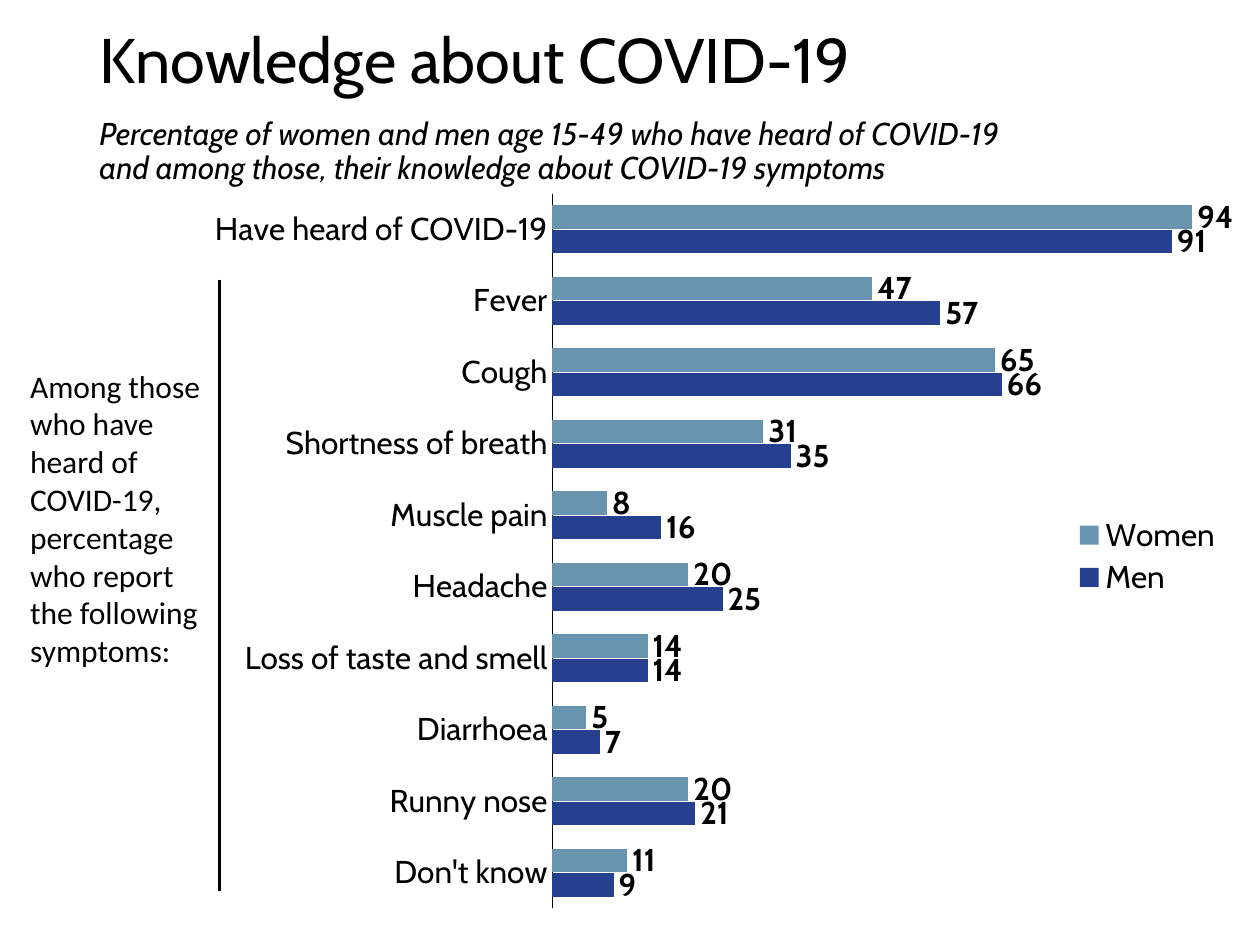
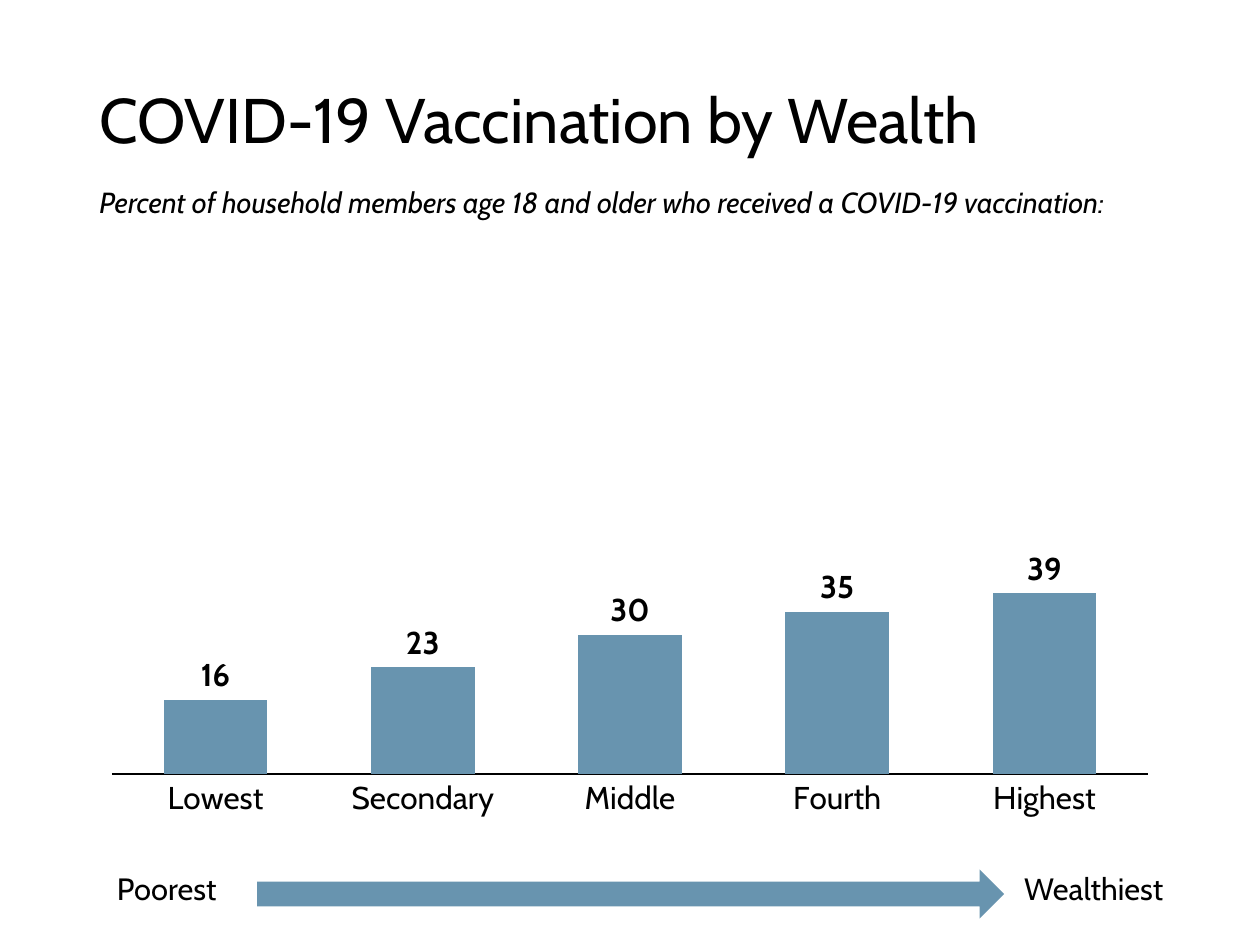
from lxml import etree
from pptx import Presentation
from pptx.chart.data import CategoryChartData
from pptx.dml.color import RGBColor
from pptx.enum.chart import (XL_CHART_TYPE, XL_LABEL_POSITION,
                             XL_LEGEND_POSITION, XL_TICK_LABEL_POSITION,
                             XL_TICK_MARK)
from pptx.enum.shapes import MSO_CONNECTOR, MSO_SHAPE
from pptx.enum.text import MSO_ANCHOR
from pptx.oxml.ns import qn
from pptx.util import Pt

# Scale: 100 px to the inch
PX = 9144
WIDTH, HEIGHT = 1000, 750
LEFT = 69

# Shared style
BLACK = RGBColor(0x00, 0x00, 0x00)
BLUE = RGBColor(0x68, 0x94, 0xAF)
NAVY = RGBColor(0x25, 0x40, 0x8F)
FONT, NOTE_FONT = "Cabin", "Calibri"
BODY = 18

BARS = XL_CHART_TYPE.BAR_CLUSTERED
COLUMNS = XL_CHART_TYPE.COLUMN_CLUSTERED
OUTSIDE = XL_LABEL_POSITION.OUTSIDE_END
RIGHT = XL_LEGEND_POSITION.RIGHT
NO_TICK = XL_TICK_MARK.NONE
NO_LABEL = XL_TICK_LABEL_POSITION.NONE
STRAIGHT = MSO_CONNECTOR.STRAIGHT
ARROW = MSO_SHAPE.RIGHT_ARROW
TOP, MIDDLE = MSO_ANCHOR.TOP, MSO_ANCHOR.MIDDLE

# Symptoms from the bottom bar up: men, women
KNOWN = [
    ("Don't know", 9, 11),
    ("Runny nose", 21, 20),
    ("Diarrhoea", 7, 5),
    ("Loss of taste and smell", 14, 14),
    ("Headache", 25, 20),
    ("Muscle pain", 16, 8),
    ("Shortness of breath", 35, 31),
    ("Cough", 66, 65),
    ("Fever", 57, 47),
    ("Have heard of COVID-19", 91, 94),
]
WEALTH = [("Lowest", 16), ("Secondary", 23), ("Middle", 30),
          ("Fourth", 35), ("Highest", 39)]


def emu(box):
    return [n * PX for n in box]


def style(font, size=BODY, name=FONT, bold=False, italic=False):
    font.size = Pt(size)
    font.name = name
    font.bold = bold
    font.italic = italic
    font.color.rgb = BLACK


def add_text(shapes, box, text, size=BODY, name=FONT, italic=False,
             anchor=TOP, leading=None, before=0):
    frame = shapes.add_textbox(*emu(box)).text_frame
    frame.word_wrap = True
    frame.vertical_anchor = anchor
    frame.text = text
    para = frame.paragraphs[0]
    para.line_spacing = leading
    para.space_before = Pt(before)
    style(para.runs[0].font, size, name, italic=italic)


def add_head(slide, title, title_box, note, note_box, size=BODY):
    add_text(slide.shapes, title_box, title, 36, anchor=MIDDLE, leading=0.9)
    add_text(slide.shapes, note_box, note, size, italic=True,
             leading=0.9, before=10)


def place(parent, index, area, inner=False):
    """Set a manual layout, as shares of the chart, on a chart part."""
    for old in parent.findall(qn("c:layout")):
        parent.remove(old)
    layout = etree.Element(qn("c:layout"))
    manual = etree.SubElement(layout, qn("c:manualLayout"))
    pairs = [("layoutTarget", "inner")] if inner else []
    pairs += [("xMode", "edge"), ("yMode", "edge"), *zip("xywh", area)]
    for tag, value in pairs:
        etree.SubElement(manual, qn("c:" + tag)).set("val", str(value))
    parent.insert(index, layout)


def add_chart(slide, kind, box, rows, series, area, overlap=0):
    """Draw rows of (label, value, ...) with series of (name, colour)."""
    labels, *columns = zip(*rows)
    data = CategoryChartData()
    data.categories = labels
    for (name, _), values in zip(series, columns):
        data.add_series(name, values)
    chart = slide.shapes.add_chart(kind, *emu(box), data).chart
    chart.has_title = False
    chart.has_legend = False
    style(chart.font)

    # Axes
    scale = chart.value_axis
    scale.minimum_scale, scale.maximum_scale = 0, 100
    scale.has_major_gridlines = False
    scale.tick_label_position = NO_LABEL
    scale.visible = False
    axis = chart.category_axis
    axis.major_tick_mark = axis.minor_tick_mark = NO_TICK
    axis.format.line.color.rgb = BLACK
    axis.format.line.width = Pt(0.75)
    style(axis.tick_labels.font)

    # Bars and their values
    plot = chart.plots[0]
    plot.gap_width, plot.overlap = 100, overlap
    plot.vary_by_categories = False
    for item, (_, colour) in zip(plot.series, series):
        item.format.fill.solid()
        item.format.fill.fore_color.rgb = colour
        tags = item.data_labels
        tags.show_value = True
        tags.position = OUTSIDE
        style(tags.font, bold=True)
    place(chart.element.find(".//" + qn("c:plotArea")), 0, area, inner=True)
    return chart


def add_legend(chart, area):
    chart.has_legend = True
    legend = chart.legend
    legend.position = RIGHT
    legend.include_in_layout = False
    style(legend.font)
    place(chart.element.find(".//" + qn("c:legend")), 1, area)


def add_rule(slide, x, top, bottom):
    line = slide.shapes.add_connector(STRAIGHT, *emu((x, top, x, bottom)))
    line.line.color.rgb = BLACK
    line.line.width = Pt(1.5)
    etree.SubElement(line.element.spPr, qn("a:effectLst"))


def add_arrow(shapes, box):
    arrow = shapes.add_shape(ARROW, *emu(box))
    arrow.shadow.inherit = False
    arrow.fill.solid()
    arrow.fill.fore_color.rgb = BLUE
    arrow.line.fill.background()


def know_slide(slide):
    chart = add_chart(slide, BARS, (LEFT, 149, 910, 585), KNOWN,
                      [("Men", NAVY), ("Women", BLUE)],
                      (0.406, 0.008, 0.594, 0.97), overlap=-5)
    add_legend(chart, (0.86, 0.44, 0.13, 0.12))
    add_head(slide, "Knowledge about COVID-19", (LEFT, 14, 862, 72),
             "Percentage of women and men age 15-49 who have heard of "
             "COVID-19 and among those, their knowledge about COVID-19 "
             "symptoms", (LEFT, 89, 777, 72))
    add_text(slide.shapes, (14, 286, 169, 252),
             "Among those who have heard of COVID-19, percentage who report "
             "the following symptoms:", name=NOTE_FONT)
    add_rule(slide, 174, 222, 707)


def wealth_slide(slide):
    add_head(slide, "COVID-19 Vaccination by Wealth", (LEFT, 47, 862, 102),
             "Percent of household members age 18 and older who received a "
             "COVID-19 vaccination:", (LEFT, 145, 862, 46), size=16.6)
    add_chart(slide, COLUMNS, (LEFT, 208, 862, 465), WEALTH,
              [("Series 1", BLUE)], (0.023, 0.082, 0.954, 0.792))

    # Wealth scale under the columns
    shapes = slide.shapes.add_group_shape().shapes
    add_arrow(shapes, (204, 690, 593, 39))
    add_text(shapes, (83, 690, 115, 35), "Poorest", 17.6,
             anchor=MIDDLE, leading=0.8)
    add_text(shapes, (803, 687, 141, 39), "Wealthiest", 17.6,
             anchor=MIDDLE, leading=0.9)


def main():
    deck = Presentation()
    deck.slide_width, deck.slide_height = emu((WIDTH, HEIGHT))
    blank = deck.slide_layouts[6]
    for build in (know_slide, wealth_slide):
        build(deck.slides.add_slide(blank))
    deck.save("out.pptx")


if __name__ == "__main__":
    main()
